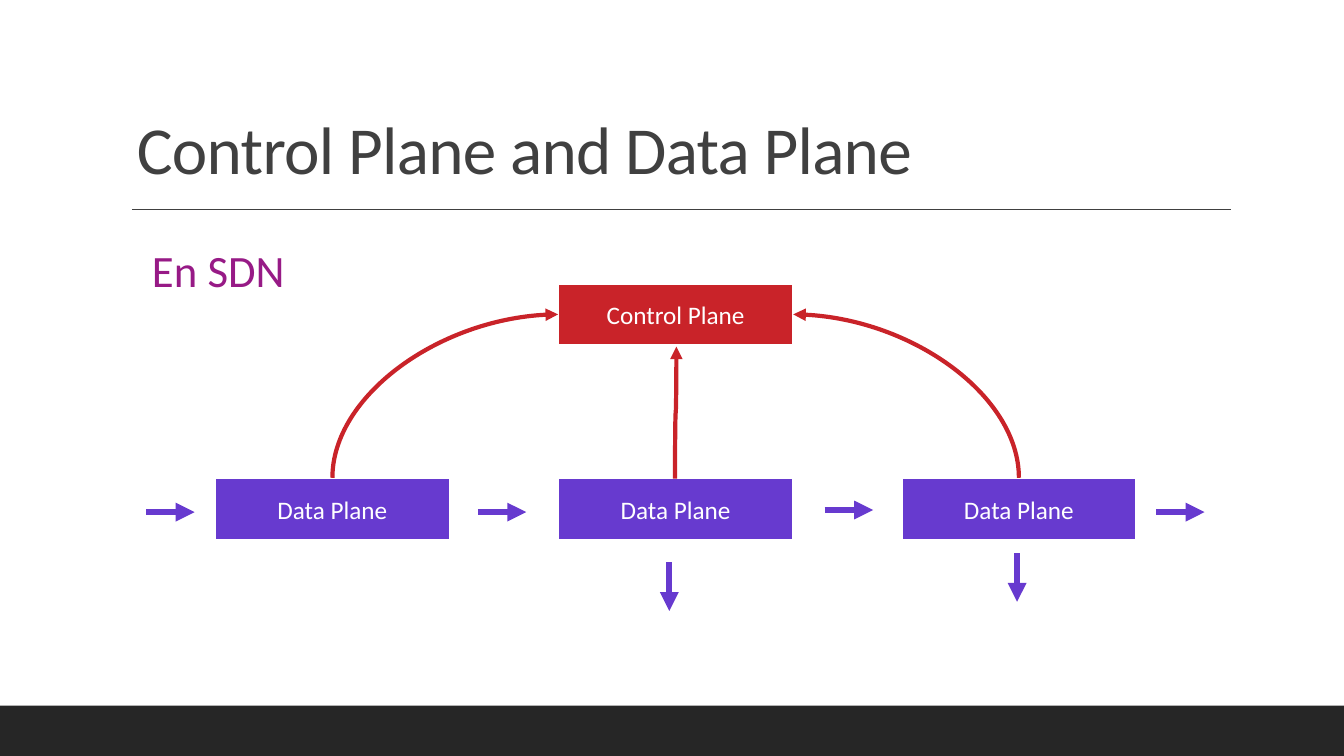
from pptx import Presentation
from pptx.dml.color import RGBColor
from pptx.enum.shapes import MSO_CONNECTOR, MSO_SHAPE
from pptx.enum.text import MSO_ANCHOR, PP_ALIGN
from pptx.oxml.ns import qn
from pptx.util import Pt
from lxml.etree import SubElement

# Colours
WHITE = RGBColor(0xFF, 0xFF, 0xFF)
DARK = RGBColor(0x26, 0x26, 0x26)
GREY = RGBColor(0x40, 0x40, 0x40)
PURPLE = RGBColor(0x67, 0x3A, 0xCF)
RED = RGBColor(0xC9, 0x23, 0x29)
MAGENTA = RGBColor(0x97, 0x1A, 0x86)

# Content and layout, in points
TITLE = "Control Plane and Data Plane"
SUBTITLE = "En SDN"
CONTROL = "Control Plane"
DATA = ["Data Plane", "Data Plane", "Data Plane"]
BOX_W, BOX_H = 168, 44.6
DATA_LEFT, DATA_TOP, DATA_PITCH = 153.4, 341.3, 245.2
CONTROL_TOP = 202.3
ARROW_LEN = 34.6
FLOWS_RIGHT = [(104.4, 365.8), (341.3, 365.8), (589, 364.3), (825.8, 365.8)]
FLOWS_DOWN = [(726.5, 395.3), (478.1, 401.8)]

prs = Presentation()
prs.slide_width, prs.slide_height = Pt(960), Pt(540)
s = prs.slides.add_slide(prs.slide_layouts[6])


def write(sp, text, size, color, anchor, align=PP_ALIGN.LEFT, spacing=None):
    tf = sp.text_frame
    tf.word_wrap = True
    tf.vertical_anchor = anchor
    p = tf.paragraphs[0]
    p.text = text
    p.alignment = align
    p.line_spacing = spacing
    r = p.runs[0]
    r.font.name, r.font.size, r.font.color.rgb = "Calibri", Pt(size), color
    return r


def textbox(x, y, w, h, text, size, color, anchor):
    sp = s.shapes.add_textbox(Pt(x), Pt(y), Pt(w), Pt(h))
    return write(sp, text, size, color, anchor, spacing=0.9)


def rect(x, y, w, h, fill):
    sp = s.shapes.add_shape(MSO_SHAPE.RECTANGLE, Pt(x), Pt(y), Pt(w), Pt(h))
    sp.shadow.inherit = False
    sp.fill.solid()
    sp.fill.fore_color.rgb = fill
    sp.line.fill.background()
    return sp


def box(x, y, text, fill):
    sp = rect(x, y, BOX_W, BOX_H, fill)
    sp.line.color.rgb, sp.line.width = WHITE, Pt(2)
    write(sp, text, 18, WHITE, MSO_ANCHOR.MIDDLE, PP_ALIGN.CENTER)


def line(start, end, color, width, arrow=True, kind=MSO_CONNECTOR.STRAIGHT):
    c = s.shapes.add_connector(kind, *[Pt(v) for v in (*start, *end)])
    c.line.color.rgb, c.line.width = color, Pt(width)
    if arrow:
        SubElement(c.line._get_or_add_ln(), qn("a:tailEnd"), type="triangle")
    SubElement(c._element.spPr, qn("a:effectLst"))
    return c


def curve_up(start, end, preset):
    """Curve that leaves its start upwards: a sideways curve turned a quarter."""
    (x1, y1), (x2, y2) = start, end
    cx, cy = (x1 + x2) / 2, (y1 + y2) / 2
    dx, dy = abs(y2 - y1) / 2, abs(x2 - x1) / 2
    side = 1 if x2 > x1 else -1
    c = line((cx + side * dx, cy + dy), (cx - side * dx, cy - dy), RED, 3,
             kind=MSO_CONNECTOR.CURVE)
    c._element.spPr.find(qn("a:xfrm")).set("rot", str((180 - side * 90) * 60000))
    c._element.spPr.find(qn("a:prstGeom")).set("prst", preset)


# Footer band, title and rule
rect(0, 504, 960, 36, DARK)
line((94.3, 149.5), (879.1, 149.5), GREY, 1, arrow=False)
title = textbox(90.7, 26.6, 758.9, 112.3, TITLE, 48, GREY, MSO_ANCHOR.BOTTOM)
title._r.get_or_add_rPr().set("spc", "-50")

# Planes
control_left = DATA_LEFT + DATA_PITCH
for i, label in enumerate(DATA):
    box(DATA_LEFT + i * DATA_PITCH, DATA_TOP, label, PURPLE)
box(control_left, CONTROL_TOP, CONTROL, RED)

# Data flow arrows
for x, y in FLOWS_RIGHT:
    line((x, y), (x + ARROW_LEN, y), PURPLE, 4.5)
for x, y in FLOWS_DOWN:
    line((x, y), (x, y + ARROW_LEN), PURPLE, 4.5)

# Links from each data plane to the control plane
left, middle, right = [DATA_LEFT + i * DATA_PITCH + BOX_W / 2 for i in range(3)]
control_mid = CONTROL_TOP + BOX_H / 2
curve_up((left, DATA_TOP), (control_left, control_mid), "curvedConnector2")
curve_up((middle - 0.5, DATA_TOP + 0.7), (middle + 0.5, CONTROL_TOP + BOX_H + 0.7),
         "curvedConnector3")
curve_up((right, DATA_TOP), (control_left + BOX_W, control_mid), "curvedConnector2")

# Subtitle
textbox(101.5, 159.1, 297.4, 71.3, SUBTITLE, 32, MAGENTA, MSO_ANCHOR.MIDDLE)

prs.save("out.pptx")
